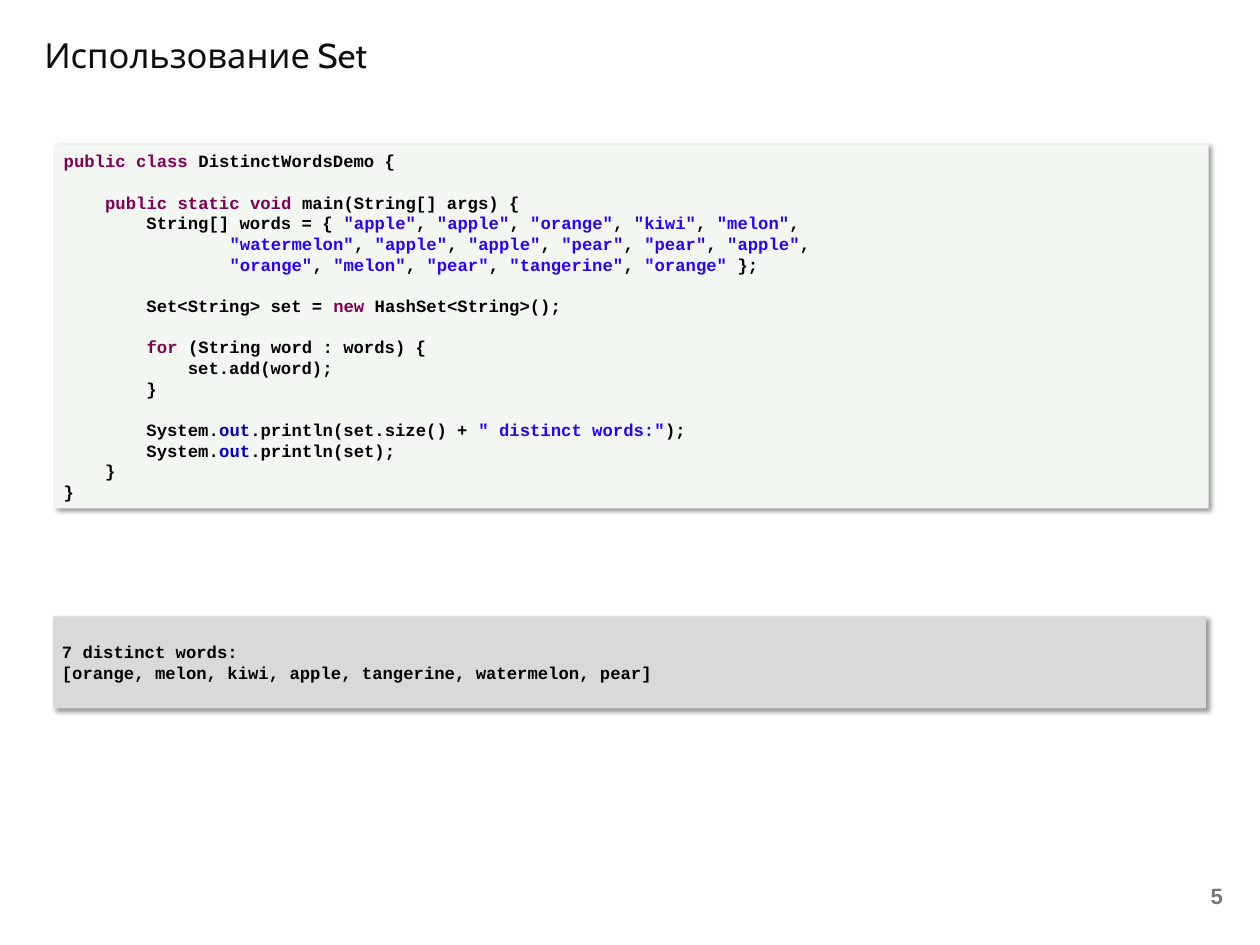
from dataclasses import dataclass
from typing import Iterator

from lxml.etree import SubElement
from pptx import Presentation
from pptx.dml.color import RGBColor
from pptx.enum.shapes import MSO_SHAPE
from pptx.enum.text import MSO_ANCHOR as Anchor, MSO_AUTO_SIZE as AutoSize, PP_ALIGN as Align
from pptx.oxml.ns import qn
from pptx.slide import Slide
from pptx.util import Inches, Pt

BLACK = RGBColor(0x00, 0x00, 0x00)
TITLE_COLOR = RGBColor(0x0D, 0x0D, 0x0D)
NUMBER_COLOR = RGBColor(0x77, 0x77, 0x77)
CODE_FILL = RGBColor(0xF2, 0xF7, 0xF2)
OUTPUT_FILL = RGBColor(0xD9, 0xD9, 0xD9)
KEYWORD_COLOR = RGBColor(0x7F, 0x00, 0x55)
STRING_COLOR = RGBColor(0x2A, 0x00, 0xFF)
FIELD_COLOR = RGBColor(0x00, 0x00, 0xC0)

HIGHLIGHTS = {
    "public class": KEYWORD_COLOR,
    "public static void": KEYWORD_COLOR,
    "new": KEYWORD_COLOR,
    "for": KEYWORD_COLOR,
    "out": FIELD_COLOR,
}

CODE = """public class DistinctWordsDemo {

    public static void main(String[] args) {
        String[] words = { "apple", "apple", "orange", "kiwi", "melon",
                "watermelon", "apple", "apple", "pear", "pear", "apple",
                "orange", "melon", "pear", "tangerine", "orange" };

        Set<String> set = new HashSet<String>();

        for (String word : words) {
            set.add(word);
        }

        System.out.println(set.size() + " distinct words:");
        System.out.println(set);
    }
}"""

OUTPUT = """7 distinct words:
[orange, melon, kiwi, apple, tangerine, watermelon, pear]"""


@dataclass(frozen=True)
class Panel:
    left: float
    top: float
    width: float
    height: float
    fill: RGBColor
    text: str
    highlighted: bool


PANELS = [
    Panel(0.62, 1.63, 13.02, 4.11, CODE_FILL, CODE, True),
    Panel(0.6, 6.96, 13.01, 1.04, OUTPUT_FILL, OUTPUT, False),
]


def color_tokens(line: str) -> Iterator[tuple[str, RGBColor]]:
    for index, part in enumerate(line.split('"')):
        if index % 2:
            yield f'"{part}"', STRING_COLOR
            continue
        word = next((word for word in HIGHLIGHTS if word in part), None)
        if word is None:
            yield part, BLACK
        else:
            before, _, after = part.partition(word)
            yield before, BLACK
            yield word, HIGHLIGHTS[word]
            yield after, BLACK


def add_shadow(shape) -> None:
    shape.shadow.inherit = False
    effects = shape._element.spPr.find(qn("a:effectLst"))
    shadow = SubElement(effects, qn("a:outerShdw"), blurRad=str(Pt(4)), dist=str(Pt(3)),
                        dir="2700000", algn="tl", rotWithShape="0")
    color = SubElement(shadow, qn("a:srgbClr"), val=str(BLACK))
    SubElement(color, qn("a:alpha"), val="40000")


def style_font(font, name: str, size: float, color: RGBColor, bold: bool) -> None:
    font.name = name
    font.size = Pt(size)
    font.bold = bold
    font.color.rgb = color


def add_panel(slide: Slide, panel: Panel) -> None:
    shape = slide.shapes.add_shape(MSO_SHAPE.RECTANGLE, Inches(panel.left), Inches(panel.top),
                                   Inches(panel.width), Inches(panel.height))
    shape.fill.solid()
    shape.fill.fore_color.rgb = panel.fill
    shape.line.fill.background()
    add_shadow(shape)
    frame = shape.text_frame
    frame.word_wrap = True
    frame.vertical_anchor = Anchor.MIDDLE
    frame.text = panel.text
    for paragraph, line in zip(frame.paragraphs, panel.text.split("\n")):
        paragraph.alignment = Align.LEFT
        paragraph.line_spacing = Pt(16.8)
        paragraph.clear()
        tokens = color_tokens(line) if panel.highlighted else [(line, BLACK)]
        for text, color in tokens:
            if text:
                run = paragraph.add_run()
                run.text = text
                style_font(run.font, "Courier New", 14, color, True)


def add_title(slide: Slide) -> None:
    title = slide.shapes.title
    title.left, title.top = Inches(0.4), Inches(0.3)
    title.width, title.height = Inches(11.03), Inches(0.63)
    frame = title.text_frame
    frame.text = "Использование Set"
    frame.auto_size = AutoSize.NONE
    frame.word_wrap = True
    frame.vertical_anchor = Anchor.MIDDLE
    paragraph = frame.paragraphs[0]
    paragraph.alignment = Align.LEFT
    style_font(paragraph.runs[0].font, "Cabin", 28, TITLE_COLOR, False)


def add_slide_number(slide: Slide) -> None:
    box = slide.shapes.add_textbox(Inches(10.58), Inches(9.85), Inches(3.32), Inches(0.53))
    frame = box.text_frame
    frame.text = "5"
    frame.word_wrap = True
    frame.vertical_anchor = Anchor.MIDDLE
    paragraph = frame.paragraphs[0]
    paragraph.alignment = Align.RIGHT
    style_font(paragraph.runs[0].font, "Arial", 18, NUMBER_COLOR, True)


def main() -> None:
    presentation = Presentation()
    presentation.slide_width = Inches(14.22)
    presentation.slide_height = Inches(10.67)
    slide = presentation.slides.add_slide(presentation.slide_layouts.get_by_name("Title Only"))
    add_title(slide)
    add_slide_number(slide)
    for panel in PANELS:
        add_panel(slide, panel)
    presentation.save("out.pptx")


if __name__ == "__main__":
    main()
